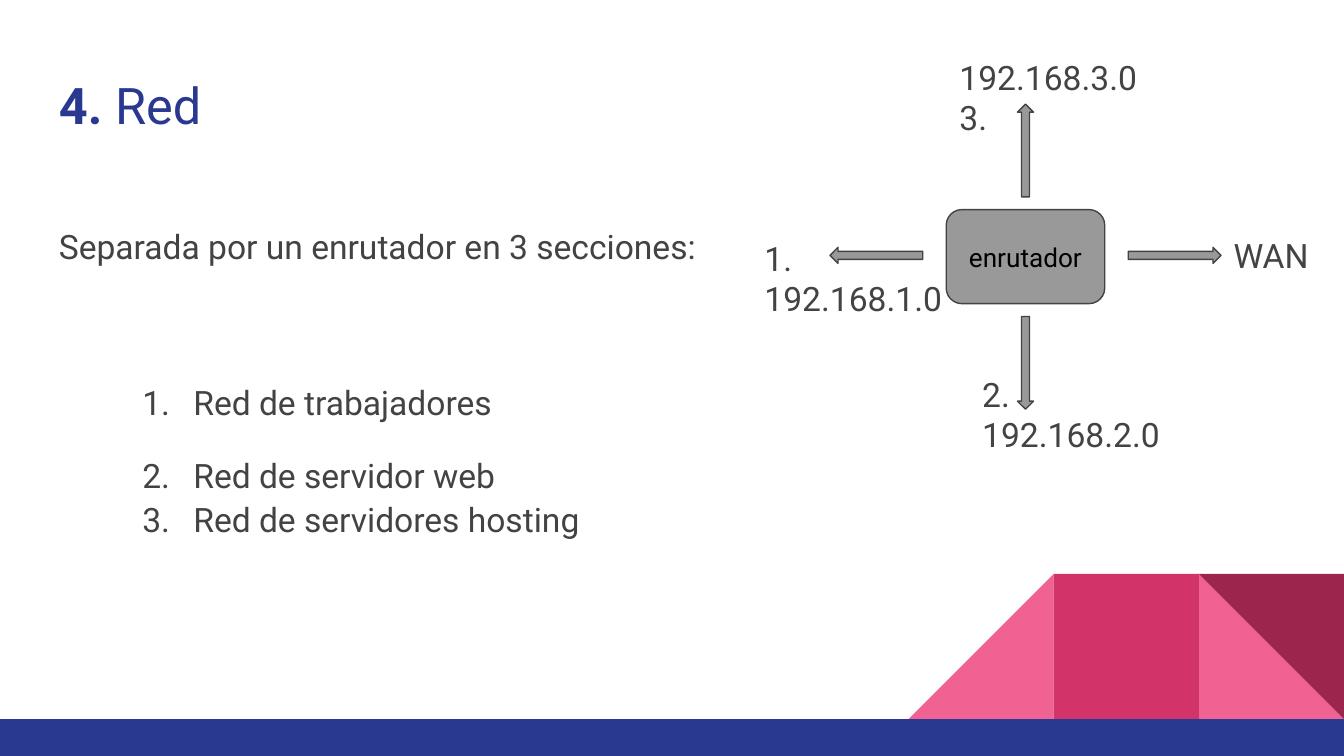
from lxml import etree
from pptx import Presentation
from pptx.dml.color import RGBColor
from pptx.enum import shapes, text
from pptx.oxml import ns
from pptx.util import Inches, Pt

FONT = "Roboto"
NAVY, INK, GREY = "2A3990", "434343", "999999"
SHAPE = shapes.MSO_SHAPE

TITLE = [("4. ", True), ("Red", False)]
INTRO = "Separada por un enrutador en 3 secciones:"
# section, line spacing, space before in points
SECTIONS = [
    ("Red de trabajadores", 1.8, 44.5),
    ("Red de servidor web", 1.8, 0),
    ("Red de servidores hosting", 1.09, 0),
]
ROUTER = "enrutador"
ROUTER_CENTRE = (7.63, 1.91)
ROUTER_SIZE = (1.18, 0.7)
ARROW_SIZE = (0.12, 0.69)
# rotation, step from the router's centre
ARROWS = [
    (0, (0, -0.79)),
    (270, (-1.11, -0.01)),
    (180, (0, 0.79)),
    (90, (1.11, -0.01)),
]
NETWORKS = [
    (["1.", "192.168.1.0"], (5.59, 1.67, 4.24, 0.81)),
    (["192.168.3.0", "3."], (7.04, 0.32, 2.61, 0.81)),
    (["2.", "192.168.2.0"], (7.21, 2.68, 2.62, 0.81)),
    (["WAN"], (9.08, 1.65, 1, 0.5)),
]
TILE, TILE_TOP = 1.08, 4.27
# left, shape, rotation, fill
TILES = [
    (8.92, SHAPE.RIGHT_TRIANGLE, 0, "F06292"),
    (6.76, SHAPE.RIGHT_TRIANGLE, 270, "F06292"),
    (7.84, SHAPE.RECTANGLE, 0, "D23369"),
    (8.92, SHAPE.RIGHT_TRIANGLE, 180, "9C254D"),
]

prs = Presentation()
prs.slide_width = Inches(10)
prs.slide_height = prs.slide_width * 9 // 16
slide = prs.slides.add_slide(prs.slide_layouts[6])


def rgb(value):
    return RGBColor.from_string(value)


def add_block(preset, box, fill, line=None, rotation=0):
    block = slide.shapes.add_shape(preset, *map(Inches, box))
    block.shadow.inherit = False
    block.rotation = rotation
    block.fill.solid()
    block.fill.fore_color.rgb = rgb(fill)
    if line:
        block.line.color.rgb = rgb(line)
        block.line.width = Pt(0.75)
    else:
        block.line.fill.background()
    return block


def centred(centre, width, height):
    x, y = centre
    return x - width / 2, y - height / 2, width, height


def set_frame(shape, **settings):
    margins = dict.fromkeys(
        ("margin_left", "margin_top", "margin_right", "margin_bottom"), Inches(0.1))
    for name, value in {"word_wrap": True, **margins, **settings}.items():
        setattr(shape.text_frame, name, value)
    return shape.text_frame


def add_frame(box):
    return set_frame(slide.shapes.add_textbox(*map(Inches, box)))


def next_paragraph(frame):
    first = frame.paragraphs[0]
    return frame.add_paragraph() if first.runs else first


def write(paragraph, words, size=18, color=INK, bold=False):
    run = paragraph.add_run()
    run.text = words
    for name, value in {"name": FONT, "size": Pt(size), "bold": bold}.items():
        setattr(run.font, name, value)
    run.font.color.rgb = rgb(color)


def number(paragraph):
    """Turn the paragraph into an item of a numbered list."""
    props = paragraph._p.get_or_add_pPr()
    props.set("marL", str(Inches(1)))
    props.set("indent", str(Inches(-0.38)))
    color = etree.SubElement(props, ns.qn("a:buClr"))
    etree.SubElement(color, ns.qn("a:srgbClr"), val=INK)
    etree.SubElement(props, ns.qn("a:buFont"), typeface=FONT)
    etree.SubElement(props, ns.qn("a:buAutoNum"), type="arabicPeriod")


# Footer
for left, preset, rotation, fill in TILES:
    add_block(preset, (left, TILE_TOP, TILE, TILE), fill, rotation=rotation)
add_block(SHAPE.RECTANGLE, (0, 5.35, 10, 0.28), NAVY)

# Title and sections
title = add_frame((0.34, 0.45, 9.32, 0.66)).paragraphs[0]
for words, bold in TITLE:
    write(title, words, 27, NAVY, bold)

body = add_frame((0.34, 1.6, 9.32, 3.65))
intro = next_paragraph(body)
intro.line_spacing = 0.95
write(intro, INTRO)
for section, spacing, before in SECTIONS:
    item = next_paragraph(body)
    number(item)
    item.line_spacing = spacing
    item.space_before = Pt(before)
    write(item, section)

# Network diagram
router = add_block(SHAPE.ROUNDED_RECTANGLE, centred(ROUTER_CENTRE, *ROUTER_SIZE), GREY, INK)
frame = set_frame(router, vertical_anchor=text.MSO_ANCHOR.MIDDLE)
frame.paragraphs[0].alignment = text.PP_ALIGN.CENTER
write(frame.paragraphs[0], ROUTER, 14, "000000")

for rotation, step in ARROWS:
    centre = [start + move for start, move in zip(ROUTER_CENTRE, step)]
    add_block(SHAPE.UP_ARROW, centred(centre, *ARROW_SIZE), GREY, INK, rotation)

for lines, box in NETWORKS:
    label = add_frame(box)
    for line in lines:
        write(next_paragraph(label), line)

prs.save("out.pptx")
